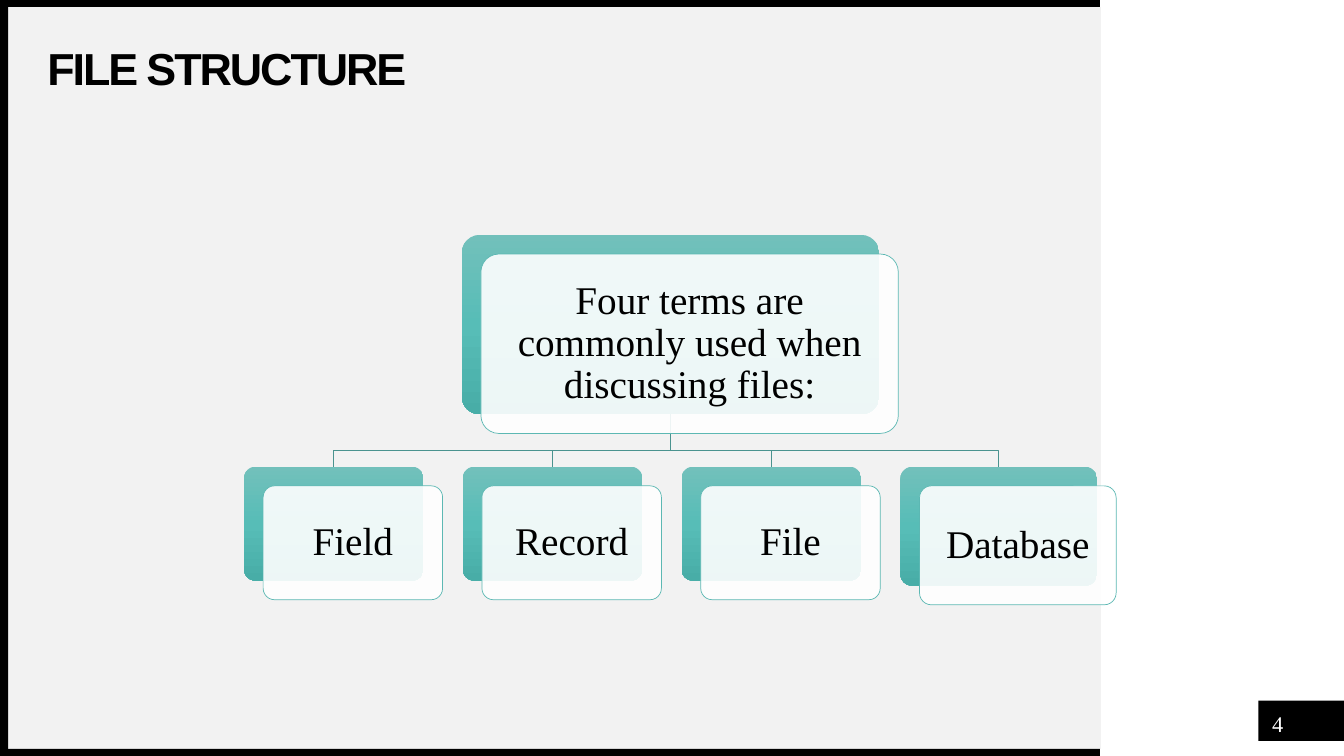
import copy

import pptx
import pptx.dml.color
import pptx.enum.shapes
import pptx.enum.text
import pptx.oxml
import pptx.oxml.ns
import pptx.util

Inches = pptx.util.Inches
Pt = pptx.util.Pt
RGBColor = pptx.dml.color.RGBColor
MSO_SHAPE = pptx.enum.shapes.MSO_SHAPE
PP_ALIGN = pptx.enum.text.PP_ALIGN
MSO_ANCHOR = pptx.enum.text.MSO_ANCHOR

BLACK = RGBColor(0x00, 0x00, 0x00)
WHITE = RGBColor(0xFF, 0xFF, 0xFF)
PANEL = RGBColor(0xF2, 0xF2, 0xF2)
TEAL_STOPS = [
    (0, RGBColor(0x72, 0xC0, 0xBB)),
    (0.5, RGBColor(0x57, 0xBD, 0xB7)),
    (1, RGBColor(0x48, 0xAD, 0xA7)),
]
CARD_LINE = RGBColor(0x5C, 0xB8, 0xB3)
LINK_LINE = RGBColor(0x4A, 0x93, 0x8F)

BACKDROP = [
    (0.08, 0.07, 10.84, 7.36, PANEL),
    (12.48, 6.95, 0.86, 0.4, BLACK),
    (0, 7.43, 10.91, 0.07, BLACK),
    (0, 0, 10.91, 0.07, BLACK),
    (0, 0.03, 0.08, 7.47, BLACK),
    (10.99, 6.83, 1.45, 0.59, WHITE),
]
ROOT = ("Four terms are commonly used when discussing files:", 4.58, 2.33, 4.14, 1.78)
TERMS = [("Field", 1.78, 1.13), ("Record", 1.78, 1.13),
         ("File", 1.78, 1.13), ("Database", 1.95, 1.18)]
TERM_LEFT, TERM_TOP, TERM_STEP = 2.42, 4.63, 2.17
CARD_SHIFT = 0.19
BUS_Y = 4.47


def write(tf, text, size, color, font, align, bold=False, spacing=None):
    """Put one formatted paragraph in a text frame."""
    tf.word_wrap = True
    p = tf.paragraphs[0]
    p.alignment = align
    p.line_spacing = spacing
    r = p.add_run()
    r.text = text
    for name, value in {"size": Pt(size), "name": font, "bold": bold}.items():
        setattr(r.font, name, value)
    r.font.color.rgb = color
    return r


def set_insets(tf, inset):
    for side in ("left", "top", "right", "bottom"):
        setattr(tf, f"margin_{side}", Inches(inset))
    tf.vertical_anchor = MSO_ANCHOR.MIDDLE


def add_box(s, kind, x, y, w, h):
    sp = s.shapes.add_shape(kind, Inches(x), Inches(y), Inches(w), Inches(h))
    sp.shadow.inherit = False
    return sp


def add_panel(s, x, y, w, h, color):
    sp = add_box(s, MSO_SHAPE.RECTANGLE, x, y, w, h)
    sp.fill.solid()
    sp.fill.fore_color.rgb = color
    sp.line.fill.background()


def fill_teal(sp):
    """Apply the three-stop gradient, running from top to bottom."""
    sp.fill.gradient()
    sp.fill.gradient_angle = 270
    first = sp._element.spPr.find(".//" + pptx.oxml.ns.qn("a:gs"))
    first.addnext(copy.deepcopy(first))
    for stop, (position, color) in zip(sp.fill.gradient_stops, TEAL_STOPS):
        stop.position = position
        stop.color.rgb = color


def add_node(s, text, x, y, w, h):
    """A teal block with a translucent text card shifted over it."""
    block = add_box(s, MSO_SHAPE.ROUNDED_RECTANGLE, x, y, w, h)
    fill_teal(block)
    block.line.fill.background()

    card = add_box(s, MSO_SHAPE.ROUNDED_RECTANGLE, x + CARD_SHIFT, y + CARD_SHIFT, w, h)
    card.fill.solid()
    card.fill.fore_color.rgb = WHITE
    white = card._element.spPr.find(".//" + pptx.oxml.ns.qn("a:srgbClr"))
    alpha = pptx.oxml.parse_xml(f'<a:alpha {pptx.oxml.ns.nsdecls("a")} val="90000"/>')
    white.append(alpha)
    card.line.color.rgb = CARD_LINE
    card.line.width = Pt(0.5)
    for sp in (block, card):
        sp.adjustments[0] = 0.1
    set_insets(card.text_frame, 0.16)
    write(card.text_frame, text, 28, BLACK, "Times New Roman", PP_ALIGN.CENTER, spacing=0.9)


def add_link(s, start, end):
    """An elbow line from the root down to one term."""
    (x1, y1), (x2, y2) = start, end
    points = [(Inches(x), Inches(y)) for x, y in ((x1, BUS_Y), (x2, BUS_Y), (x2, y2))]
    builder = s.shapes.build_freeform(Inches(x1), Inches(y1))
    builder.add_line_segments(points, close=False)
    sp = builder.convert_to_shape()
    sp.shadow.inherit = False
    sp.fill.background()
    sp.line.color.rgb = LINK_LINE
    sp.line.width = Pt(0.5)


def add_title(s, text):
    title = s.shapes.title
    for name, value in {"left": 0.47, "top": 0.47, "width": 10.06, "height": 0.47}.items():
        setattr(title, name, Inches(value))
    set_insets(title.text_frame, 0)
    r = write(title.text_frame, text, 32, BLACK, "Arial", PP_ALIGN.LEFT, True, 0.9)
    r._r.get_or_add_rPr().set("spc", "-150")
    # Bring the title in front of the backdrop
    s.shapes._spTree.append(title._element)


def add_page_number(s, text):
    box = s.shapes.add_textbox(Inches(12.52), Inches(7), Inches(0.3), Inches(0.3))
    write(box.text_frame, text, 16, WHITE, "Times New Roman", PP_ALIGN.LEFT)


def main():
    prs = pptx.Presentation()
    prs.slide_width, prs.slide_height = Inches(13.33), Inches(7.5)
    s = prs.slides.add_slide(prs.slide_layouts[5])

    # Backdrop and title
    for panel in BACKDROP:
        add_panel(s, *panel)
    add_title(s, "FILE STRUCTURE")

    # Links go behind the nodes
    _, x, y, w, h = ROOT
    lefts = [TERM_LEFT + i * TERM_STEP for i in range(len(TERMS))]
    for left, (_, width, _) in zip(lefts, TERMS):
        add_link(s, (x + w / 2, y + h), (left + width / 2, TERM_TOP))

    # Root and its four terms
    add_node(s, *ROOT)
    for left, (term, width, height) in zip(lefts, TERMS):
        add_node(s, term, left, TERM_TOP, width, height)

    add_page_number(s, "4")
    prs.save("out.pptx")


if __name__ == "__main__":
    main()
